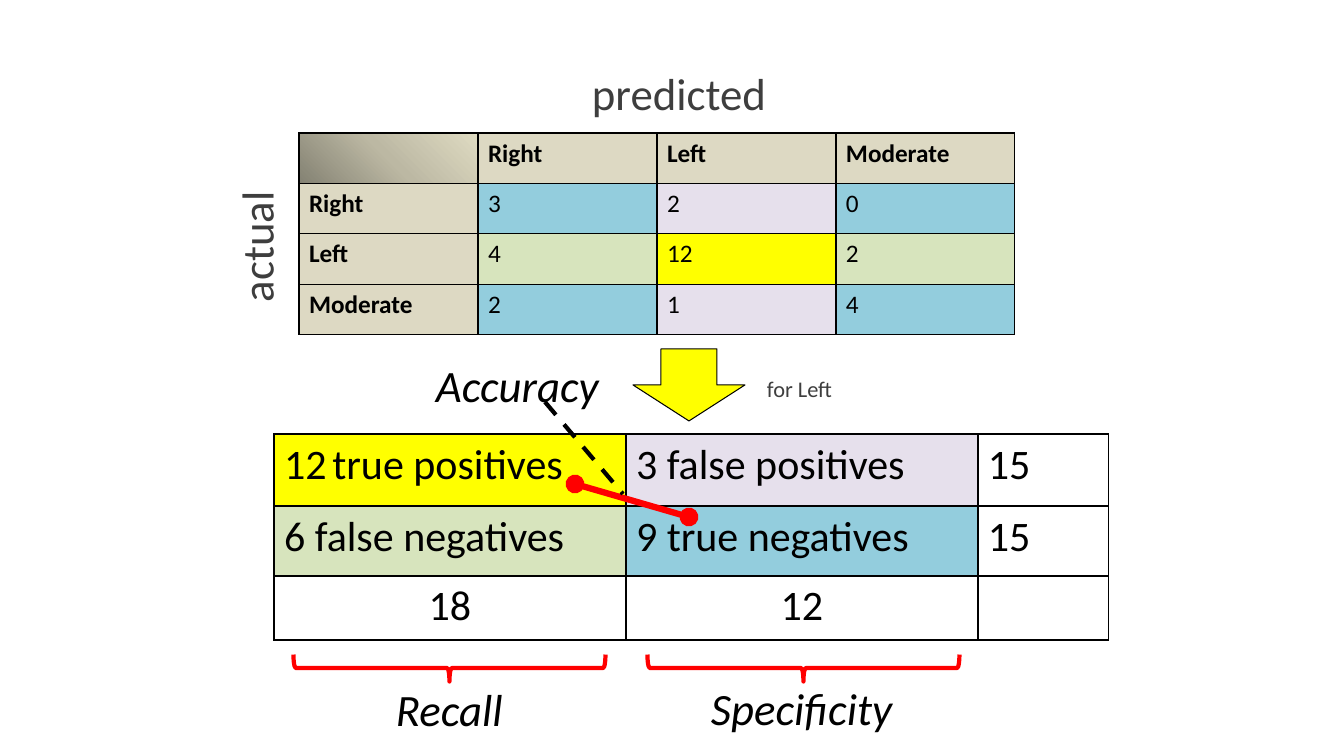
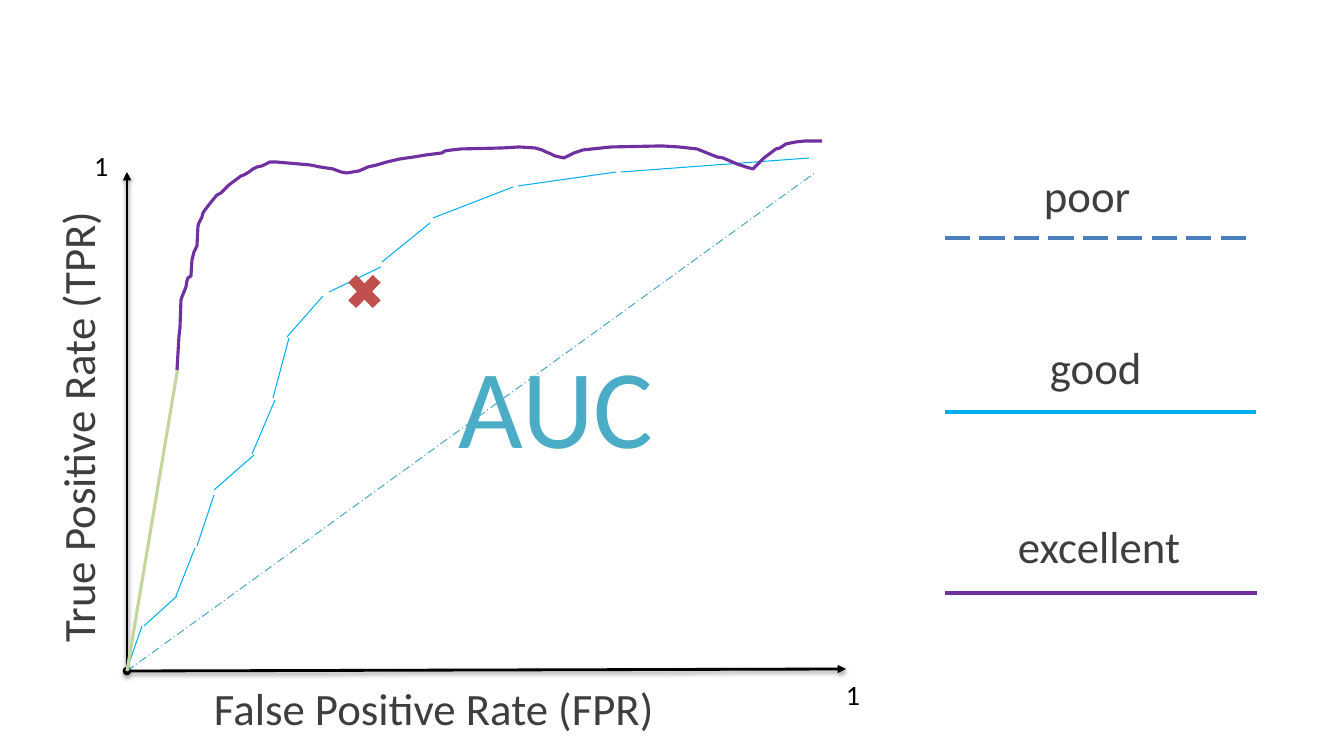
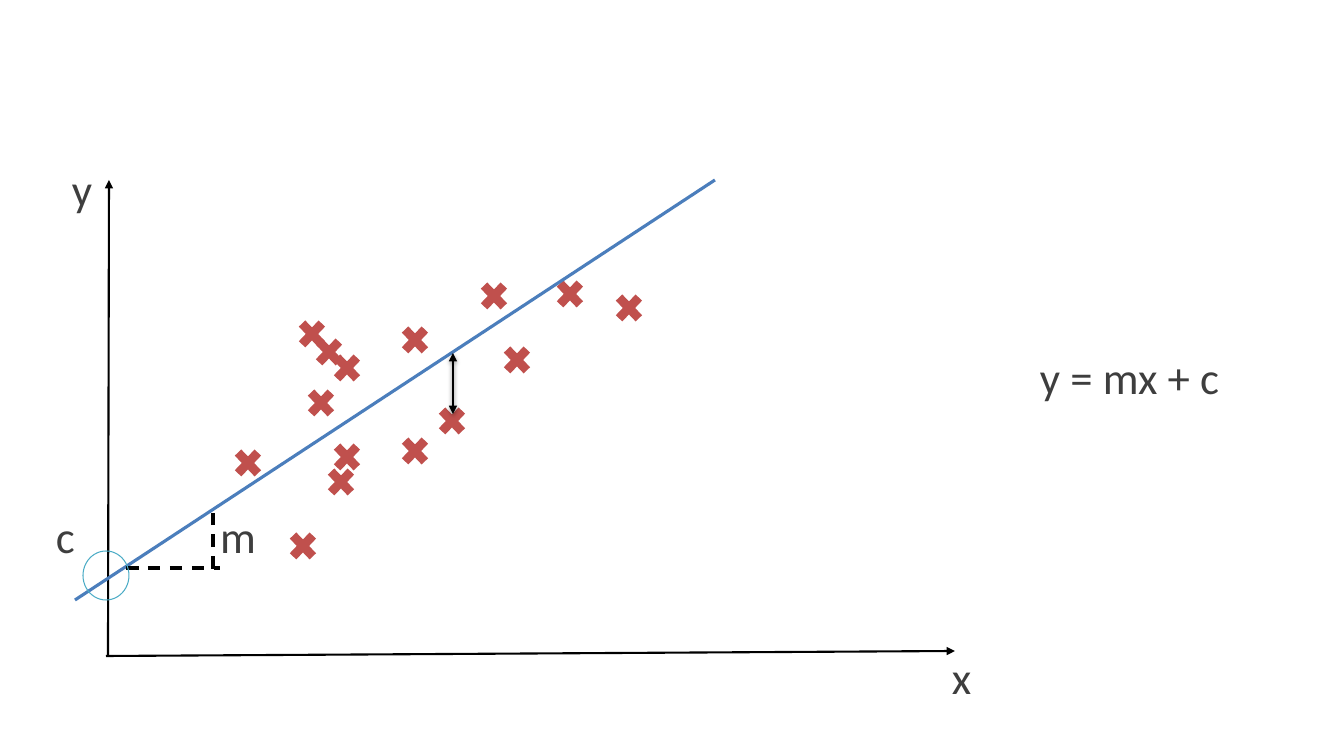
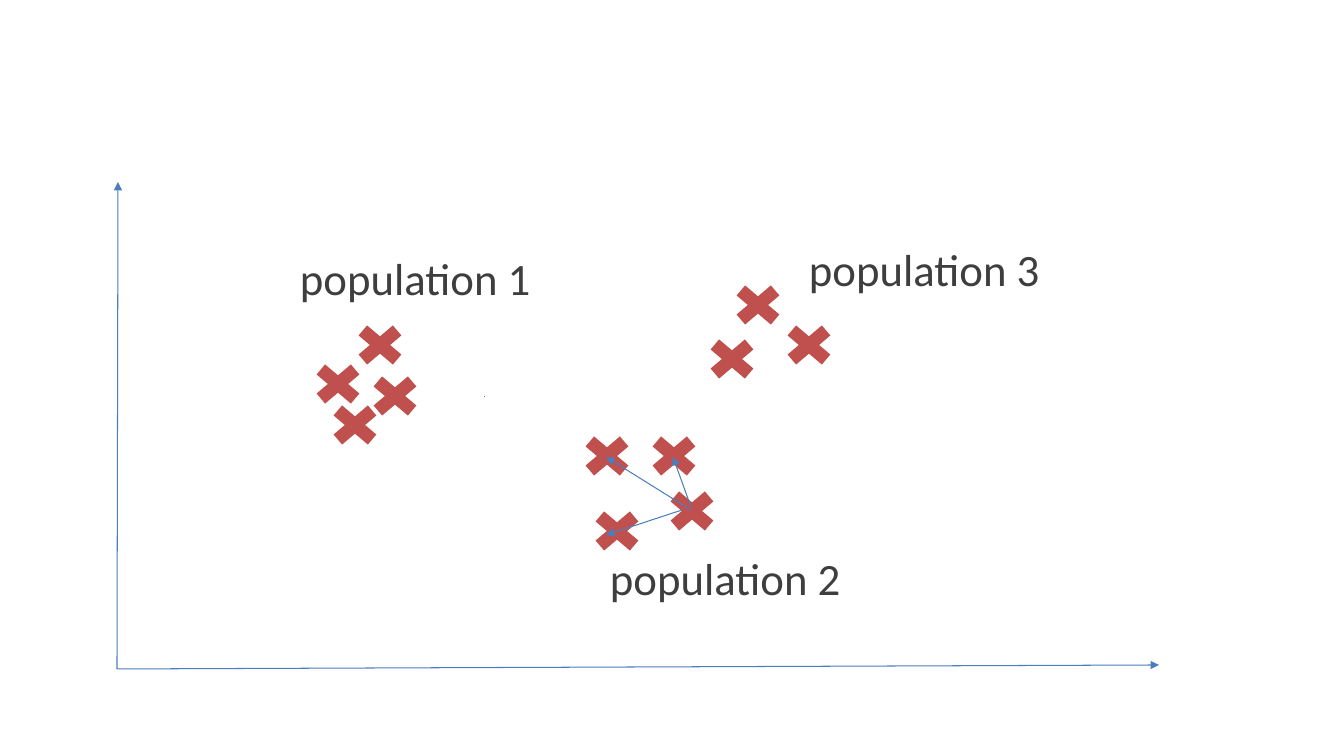
from lxml import etree
from pptx import Presentation
from pptx.dml.color import RGBColor
from pptx.enum.dml import MSO_LINE
from pptx.enum.shapes import MSO_CONNECTOR, MSO_SHAPE
from pptx.enum.text import PP_ALIGN
from pptx.oxml.ns import qn
from pptx.util import Emu, Pt

# Shared style
FONT = "Calibri"
BLACK = RGBColor(0x00, 0x00, 0x00)
GRAY = RGBColor(0x3E, 0x3E, 0x3E)
RED = RGBColor(0xFF, 0x00, 0x00)
BRICK = RGBColor(0xC0, 0x50, 0x4D)
YELLOW = RGBColor(0xFF, 0xFF, 0x00)
SAND = RGBColor(0xDD, 0xD9, 0xC3)
SKY = RGBColor(0x93, 0xCD, 0xDD)
LILAC = RGBColor(0xE6, 0xE0, 0xEC)
LEAF = RGBColor(0xD7, 0xE4, 0xBD)
OLIVE = RGBColor(0xC3, 0xD6, 0x9B)
TEAL = RGBColor(0x4B, 0xAC, 0xC6)
BLUE = RGBColor(0x4B, 0x7E, 0xBC)
CYAN = RGBColor(0x00, 0xB0, 0xF0)
CYAN_KEY = RGBColor(0x00, 0xAD, 0xEF)
PURPLE = RGBColor(0x70, 0x30, 0xA0)
CORNER_STOPS = ((0, "848273"), (50000, "BCB8A3"), (100000, "DFDBC2"))

DASH, LONG_DASH, DASH_DOT = MSO_LINE.DASH, MSO_LINE.LONG_DASH, MSO_LINE.LONG_DASH_DOT
STRAIGHT = MSO_CONNECTOR.STRAIGHT
CROSS, CIRCLE = MSO_SHAPE.MATH_MULTIPLY, MSO_SHAPE.OVAL
DOWN_ARROW, BRACE = MSO_SHAPE.DOWN_ARROW, MSO_SHAPE.LEFT_BRACE
CENTER = PP_ALIGN.CENTER

PX = 914400 / 100.8


def px(value):
    return Emu(round(value * PX))


def add_xml(parent, tag, **attributes):
    element = etree.SubElement(parent, qn(tag))
    for name, value in attributes.items():
        element.set(name, str(value))
    return element


class Deck:
    def __init__(self, width, height):
        self.prs = Presentation()
        self.prs.slide_width, self.prs.slide_height = px(width), px(height)
        self.shapes = None

    def new_slide(self):
        self.shapes = self.prs.slides.add_slide(self.prs.slide_layouts[6]).shapes

    def style(self, run, size, color=BLACK, bold=False, italic=False):
        font = run.font
        font.name, font.size, font.bold, font.italic = FONT, Pt(size), bold, italic
        font.color.rgb = color

    def label(self, text, left, top, width, size=32, color=GRAY, rotation=0):
        height = round(size * 1.5)
        box = self.shapes.add_textbox(px(left), px(top), px(width), px(height))
        box.rotation = rotation
        frame = box.text_frame
        frame.word_wrap = True
        frame.margin_left = frame.margin_right = frame.margin_top = frame.margin_bottom = 0
        frame.text = text
        paragraph = frame.paragraphs[0]
        paragraph.line_spacing = 0.9
        self.style(paragraph.runs[0], size, color)

    def measure(self, text, left, top, width):
        frame = self.shapes.add_textbox(px(left), px(top), px(width), px(65)).text_frame
        frame.word_wrap = False
        frame.text = text
        self.style(frame.paragraphs[0].runs[0], 32, italic=True)

    def shape(self, kind, left, top, width, height, fill=None, line=None, weight=0.75, rotation=0):
        shape = self.shapes.add_shape(kind, px(left), px(top), px(width), px(height))
        shape.rotation = rotation
        self.paint(shape, fill, line, weight)

    def paint(self, shape, fill, line, weight):
        shape.shadow.inherit = False
        if fill is None:
            shape.fill.background()
        else:
            shape.fill.solid()
            shape.fill.fore_color.rgb = fill
        if line is None:
            shape.line.fill.background()
        else:
            shape.line.color.rgb = line
            shape.line.width = Pt(weight)

    def crosses(self, width, height, corners):
        for left, top in corners:
            self.shape(CROSS, left, top, width, height, BRICK)

    def curve(self, points, color, weight):
        builder = self.shapes.build_freeform(*points[0], scale=PX)
        builder.add_line_segments(points[1:], close=False)
        self.paint(builder.convert_to_shape(), None, color, weight)

    def line(self, x1, y1, x2, y2, color=BLACK, weight=0.75, dash=None,
             head=None, tail=None, shadow=False):
        line = self.shapes.add_connector(STRAIGHT, px(x1), px(y1), px(x2), px(y2))
        line.line.color.rgb = color
        line.line.width = Pt(weight)
        if dash is not None:
            line.line.dash_style = dash
        outline = line.line._get_or_add_ln()
        for tag, end in (("a:headEnd", head), ("a:tailEnd", tail)):
            if end:
                add_xml(outline, tag, type=end)
        effects = add_xml(line._element.spPr, "a:effectLst")
        if shadow:
            outer = add_xml(effects, "a:outerShdw", blurRad=40000, dist=20000,
                            dir=5400000, rotWithShape=0)
            add_xml(add_xml(outer, "a:srgbClr", val=BLACK), "a:alpha", val=38000)

    def table(self, left, top, widths, heights, texts, fills, size, headed=False):
        frame = self.shapes.add_table(len(heights), len(widths), px(left), px(top),
                                      px(sum(widths)), px(sum(heights)))
        table = frame.table
        table.first_row = table.horz_banding = False
        for column, width in zip(table.columns, widths):
            column.width = px(width)
        for row, height in zip(table.rows, heights):
            row.height = px(height)
        for r, (row_texts, row_fills) in enumerate(zip(texts, fills)):
            for c, (text, fill) in enumerate(zip(row_texts, row_fills)):
                cell = table.cell(r, c)
                self.border(cell)
                if fill is None:
                    cell.fill.background()
                else:
                    cell.fill.solid()
                    cell.fill.fore_color.rgb = fill
                cell.text_frame.text = text
                for run in cell.text_frame.paragraphs[0].runs:
                    self.style(run, size, bold=headed and 0 in (r, c))
        return table

    def border(self, cell):
        properties = cell._tc.get_or_add_tcPr()
        for side in ("a:lnL", "a:lnR", "a:lnT", "a:lnB"):
            edge = add_xml(properties, side, w=Pt(1))
            add_xml(add_xml(edge, "a:solidFill"), "a:srgbClr", val=BLACK)

    def corner_gradient(self, cell):
        properties = cell._tc.get_or_add_tcPr()
        properties.remove(properties.find(qn("a:solidFill")))
        gradient = add_xml(properties, "a:gradFill", rotWithShape=1)
        stops = add_xml(gradient, "a:gsLst")
        for position, color in CORNER_STOPS:
            add_xml(add_xml(stops, "a:gs", pos=position), "a:srgbClr", val=color)
        circle = add_xml(gradient, "a:path", path="circle")
        add_xml(circle, "a:fillToRect", t=100000, r=100000)


deck = Deck(1344, 756)

# Slide 1: confusion matrix
deck.new_slide()
confusion = deck.table(
    299, 133, [179] * 4, [50.4] * 4,
    [["", "Right", "Left", "Moderate"],
     ["Right", "3", "2", "0"],
     ["Left", "4", "12", "2"],
     ["Moderate", "2", "1", "4"]],
    [[SAND] * 4,
     [SAND, SKY, LILAC, SKY],
     [SAND, LEAF, YELLOW, LEAF],
     [SAND, SKY, LILAC, SKY]], 18, headed=True)
deck.corner_gradient(confusion.cell(0, 0))
deck.shape(DOWN_ARROW, 633, 349, 112, 72, YELLOW, BLACK)
deck.label("actual", 161, 180, 196, rotation=270)
deck.label("predicted", 592, 72, 196)

# Counts for one class
counts = deck.table(
    274, 434, [352, 352, 131], [72, 70, 64],
    [["12", "3 false positives ", "15"],
     ["6 false negatives", "9 true negatives", "15"],
     ["18", "12", ""]],
    [[YELLOW, LILAC, None], [LEAF, SKY, None], [None] * 3], 30)
for column in (0, 1):
    counts.cell(2, column).text_frame.paragraphs[0].alignment = CENTER
true_positives = counts.cell(0, 0).text_frame.paragraphs[0]
for text, size in ((" ", 18), ("true positives", 30)):
    run = true_positives.add_run()
    run.text = text
    deck.style(run, size)
deck.label("for Left", 767, 378, 388, size=16)

# Measures
for text, brace_left, left, top, width in (("Specificity", 790, 701, 676, 207),
                                           ("Recall", 436, 386, 677, 128)):
    deck.shape(BRACE, brace_left, 512, 27, 312, None, RED, 3, rotation=270)
    deck.measure(text, left, top, width)
deck.line(575, 484, 689, 517, RED, 4.5, head="oval", tail="oval")
deck.measure("Accuracy", 426, 353, 185)
deck.line(545, 402, 623, 494, weight=3, dash=DASH)

# Slide 2: ROC curves
deck.new_slide()
deck.line(127, 172, 127, 669, weight=2, head="triangle", shadow=True)
deck.line(127, 671, 846, 669, weight=2, head="oval", tail="triangle", shadow=True)
deck.label("True Positive Rate (TPR)", -165, 373, 491, rotation=270)
deck.label("False Positive Rate (FPR)", 214, 687, 491)
deck.line(127, 671, 816, 172, TEAL, dash=DASH_DOT)

GOOD_SEGMENTS = (
    (127, 669, 142, 626), (144, 626, 177, 596), (176, 596, 195, 548),
    (197, 546, 214, 495), (214, 490, 254, 455), (252, 454, 275, 400),
    (273, 398, 289, 338), (287, 337, 323, 296), (329, 292, 381, 267),
    (382, 262, 430, 223), (433, 218, 513, 187), (518, 186, 616, 172),
    (621, 172, 809, 158))
for segment in GOOD_SEGMENTS:
    deck.line(*segment, CYAN)
for left, top in ((846, 681), (94, 152)):
    deck.label("1", left, top, 51, size=20, color=BLACK)
deck.crosses(47, 49, [(341, 267)])
deck.label("AUC", 459, 352, 230, size=80, color=TEAL)

EXCELLENT_POINTS = (
    (177, 370), (179, 336), (180, 328), (181, 300), (182, 297), (186, 287),
    (187, 281), (188, 278), (191, 276), (192, 260), (193, 256), (194, 252),
    (197, 246), (198, 226), (199, 223), (202, 217), (203, 213), (205, 210),
    (212, 201), (217, 195), (221, 193), (229, 185), (241, 176), (244, 175),
    (249, 172), (253, 169), (257, 167), (262, 166), (270, 162), (276, 162),
    (310, 165), (320, 167), (333, 169), (341, 172), (347, 173), (359, 171),
    (368, 167), (377, 165), (387, 162), (400, 159), (414, 157), (426, 155),
    (442, 153), (445, 151), (452, 150), (461, 149), (503, 148), (519, 147),
    (535, 148), (542, 150), (546, 152), (551, 154), (555, 156), (564, 158),
    (574, 153), (583, 150), (611, 147), (662, 146), (679, 147), (697, 149),
    (707, 153), (717, 157), (723, 158), (737, 164), (746, 167), (753, 169),
    (764, 158), (776, 149), (780, 148), (786, 144), (796, 142), (805, 141),
    (822, 141))
deck.line(127, 671, 178, 367, OLIVE, 2.25)
deck.curve(EXCELLENT_POINTS, PURPLE, 2.25)

# Key to the curves
for text, left, top, width, start, end, y, color, dash in (
        ("poor", 1044, 174, 102, 945, 1248, 238, BLUE, LONG_DASH),
        ("good", 1050, 346, 130, 945, 1256, 412, CYAN_KEY, None),
        ("excellent", 1018, 525, 195, 945, 1257, 593, PURPLE, None)):
    deck.line(start, y, end, y, color, 2.25, dash)
    deck.label(text, left, top, width)

# Slide 3: linear regression
deck.new_slide()
deck.line(109, 180, 108, 655, weight=1.5, head="triangle")
deck.line(106, 656, 955, 651, weight=1.5, tail="triangle")
deck.crosses(38, 40, [
    (293, 314), (396, 431), (498, 340), (229, 443), (551, 274),
    (302, 383), (396, 320), (284, 526), (433, 401), (322, 462),
    (610, 288), (310, 332), (328, 437), (328, 348), (475, 276)])
deck.line(75, 600, 715, 180, BLUE, 2.25)

# Slope and intercept
deck.line(126, 568, 220, 568, weight=2.25, dash=DASH)
deck.line(213, 569, 213, 508, weight=2.25, dash=DASH)
deck.shape(CIRCLE, 83, 551, 46, 49, None, TEAL)
for text, left, top in (("y", 72, 168), ("x", 952, 656), ("m", 220, 515), ("c", 56, 515)):
    deck.label(text, left, top, 34)
deck.label("y = mx + c", 1040, 356, 302)
deck.line(453, 414, 453, 353, weight=2, head="triangle", tail="triangle", shadow=True)

# Slide 4: clusters
deck.new_slide()
deck.line(117, 669, 1159, 665, BLUE, tail="triangle")
deck.line(117, 669, 118, 182, BLUE, tail="triangle")
deck.line(484, 397, 485, 397, BLUE)
deck.crosses(66, 56, [
    (305, 356), (659, 483), (347, 317), (362, 368), (322, 397), (574, 428),
    (641, 428), (584, 503), (725, 277), (776, 317), (699, 331)])
for distance in ((691, 507, 673, 457), (691, 510, 606, 457), (682, 510, 606, 535)):
    deck.line(*distance, BLUE, tail="triangle")
for number, (left, top) in enumerate(((300, 257), (610, 557), (809, 248)), start=1):
    deck.label(f"population {number}", left, top, 254)

deck.prs.save("out.pptx")
